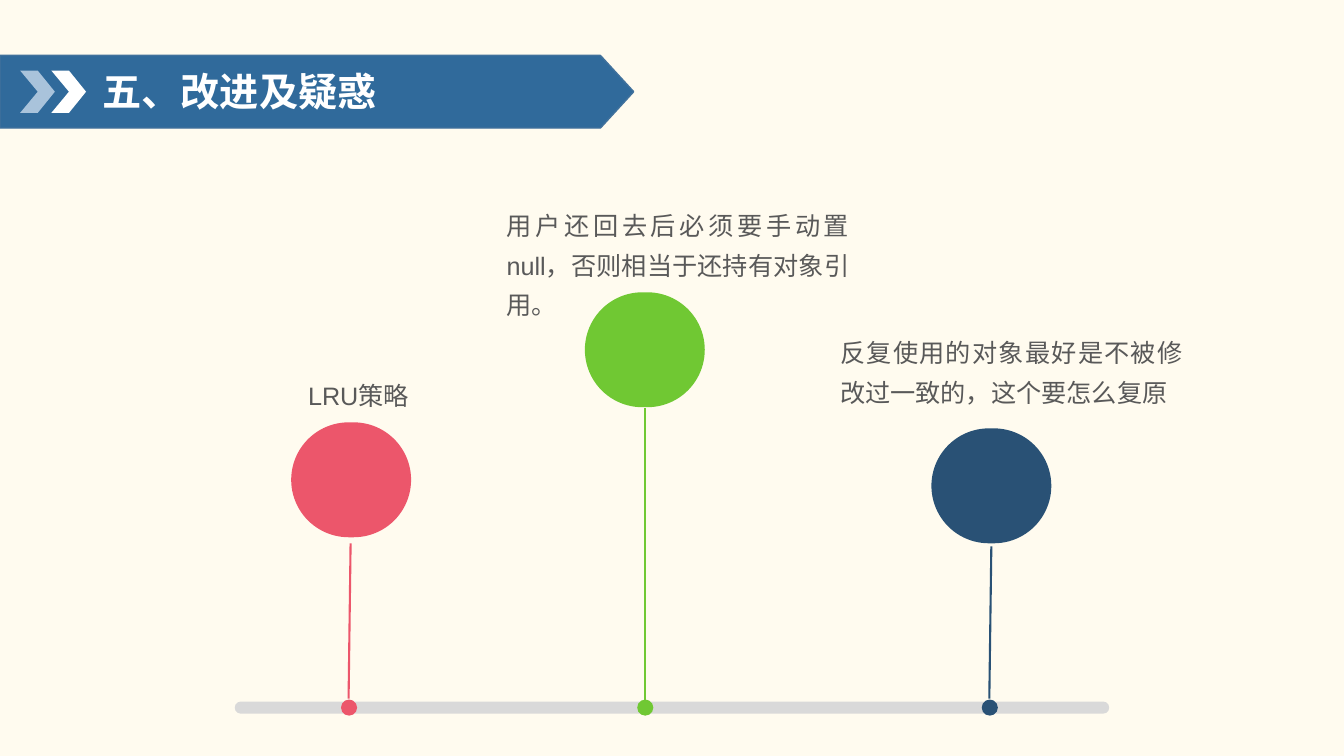
"""Builds the slide on improvements and open questions: three pins on a timeline."""
from lxml import etree
from pptx import Presentation
from pptx import util as u
from pptx.dml.color import RGBColor
from pptx.enum import shapes, text
from pptx.oxml import ns

CELL = u.Inches(0.1)
PAGE_COLUMNS, PAGE_ROWS = 133.4, 75

CREAM = RGBColor(0xFF, 0xFB, 0xEF)
BANNER_BLUE = RGBColor(0x30, 0x6A, 0x9B)
BANNER_EDGE = RGBColor(0x41, 0x71, 0x9C)
PALE_BLUE = RGBColor(0xA9, 0xC3, 0xDB)
WHITE = RGBColor(0xFF, 0xFF, 0xFF)
TRACK_GREY = RGBColor(0xD9, 0xD9, 0xD9)
TEXT_GREY = RGBColor(0x59, 0x59, 0x59)
ROSE = RGBColor(0xEC, 0x56, 0x6B)
GREEN = RGBColor(0x70, 0xC8, 0x33)
NAVY = RGBColor(0x29, 0x51, 0x75)

LATIN_FONT, CHINESE_FONT = "Arial", "Noto Sans CJK SC"
TRACK_MIDDLE = 70.2
HEAD_WIDTH, HEAD_HEIGHT, DOT = 11.9, 11.4, 1.6

PINS = [
    (34.85, 41.9, ROSE, (34.8, 53.9), (34.6, 69.3)),
    (64, 29, GREEN, (64, 40.5), (64, 69.6)),
    (98.4, 42.5, NAVY, (98.4, 54.2), (98.2, 69.3)),
]
NOTES = [
    (82.4, 32.1, 36, ["反复使用的对象最好是不被修改过一致的，这个要怎么复原"]),
    (49.3, 19.5, 36, ["用户还回去后必须要手动置", "null", "，否则相当于还持有对象引用。"]),
    (29.6, 36.3, 16.3, ["LRU", "策略"]),
]


def grid(*cells):
    """Turn counts of grid cells into lengths."""
    return [u.Emu(round(cell * CELL)) for cell in cells]


def add_outline(page, points, fill, edge=None):
    """Draw a closed polygon through grid points."""
    builder = page.shapes.build_freeform(*grid(*points[0]), scale=1.0)
    builder.add_line_segments([grid(*point) for point in points[1:]])
    outline = builder.convert_to_shape()
    outline.shadow.inherit = False
    outline.fill.solid()
    outline.fill.fore_color.rgb = fill
    if edge is None:
        outline.line.fill.background()
    else:
        outline.line.color.rgb = edge
        outline.line.width = u.Pt(1)


def add_pill(page, left, top, width, height, fill):
    """Draw a fully rounded rectangle."""
    pill = page.shapes.add_shape(
        shapes.MSO_SHAPE.ROUNDED_RECTANGLE, *grid(left, top, width, height))
    pill.adjustments[0] = 0.5
    pill.shadow.inherit = False
    pill.fill.solid()
    pill.fill.fore_color.rgb = fill
    pill.line.fill.background()


def add_stem(page, start, end, color):
    """Draw the line from a pin head to the track."""
    stem = page.shapes.add_connector(
        shapes.MSO_CONNECTOR.STRAIGHT, *grid(*start, *end))
    stem.line.color.rgb = color
    stem.line.width = u.Pt(1.5)
    etree.SubElement(stem._element.spPr, ns.qn("a:effectLst"))


def add_pin(page, center, head_top, color, stem_start, stem_end):
    """Draw a round head, its stem and the dot on the track."""
    add_pill(page, center - HEAD_WIDTH / 2, head_top, HEAD_WIDTH, HEAD_HEIGHT, color)
    add_stem(page, stem_start, stem_end, color)
    add_pill(page, stem_end[0] + 0.05 - DOT / 2, TRACK_MIDDLE - DOT / 2, DOT, DOT, color)


def add_text(page, place, words, size, color, font, spacing, bold=False):
    """Add a wrapped text box and return it with its paragraph."""
    box = page.shapes.add_textbox(*grid(*place))
    box.text_frame.word_wrap = True
    para = box.text_frame.paragraphs[0]
    para.line_spacing = spacing
    for word in words:
        span = para.add_run()
        span.text = word
        span.font.size = u.Pt(size)
        span.font.bold = bold
        span.font.color.rgb = color
        span.font.name = font
        east_asian = etree.SubElement(span.font._element, ns.qn("a:ea"))
        east_asian.set("typeface", CHINESE_FONT)
    return box, para


def add_banner(page):
    """Draw the title banner with its two chevrons."""
    add_outline(page, [(0, 5.5), (59.6, 5.5), (62.9, 9.1), (59.6, 12.7), (0, 12.7)],
                BANNER_BLUE, BANNER_EDGE)
    for left, fill in [(2, PALE_BLUE), (5.1, WHITE)]:
        notch, tip = left + 1.75, left + 3.45
        add_outline(page, [(left, 7), (notch, 7), (tip, 9.1), (notch, 11.2),
                           (left, 11.2), (notch, 9.1)], fill)
    box, _ = add_text(page, (9.2, 5.8, 51.3, 7.1), ["五、改进及疑惑"], 28,
                      WHITE, CHINESE_FONT, 0.9, bold=True)
    box.text_frame.vertical_anchor = text.MSO_ANCHOR.MIDDLE


def main():
    """Build and save the deck."""
    deck = Presentation()
    deck.slide_width, deck.slide_height = grid(PAGE_COLUMNS, PAGE_ROWS)
    page = deck.slides.add_slide(deck.slide_layouts[6])
    page.background.fill.solid()
    page.background.fill.fore_color.rgb = CREAM
    add_banner(page)
    add_pill(page, 23.3, TRACK_MIDDLE - 0.6, 86.8, 1.2, TRACK_GREY)
    for pin in PINS:
        add_pin(page, *pin)
    for left, top, width, words in NOTES:
        _, para = add_text(page, (left, top, width, 14.3), words, 18,
                           TEXT_GREY, LATIN_FONT, 1.3)
        para.alignment = text.PP_ALIGN.JUSTIFY
    deck.save("out.pptx")


if __name__ == "__main__":
    main()
